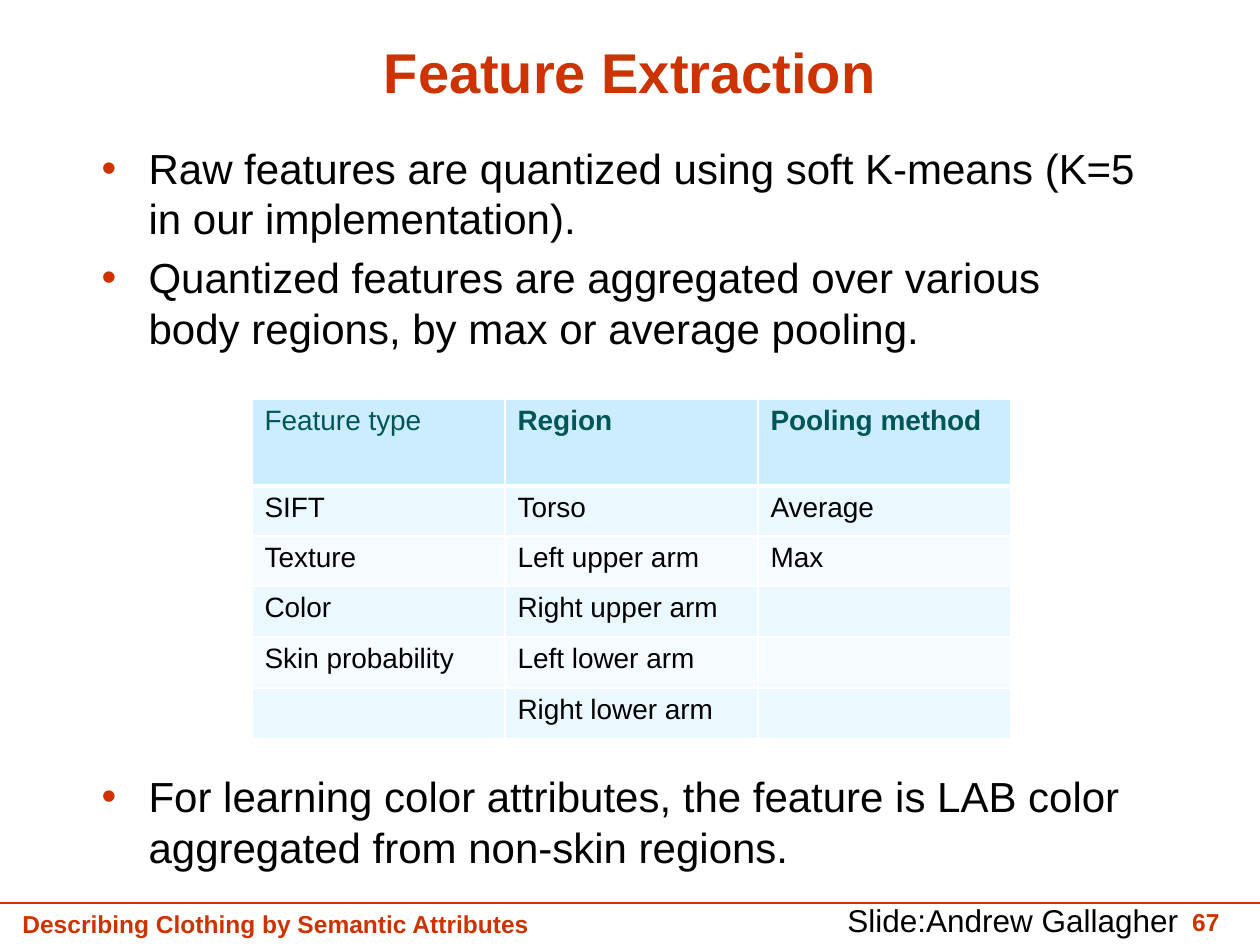
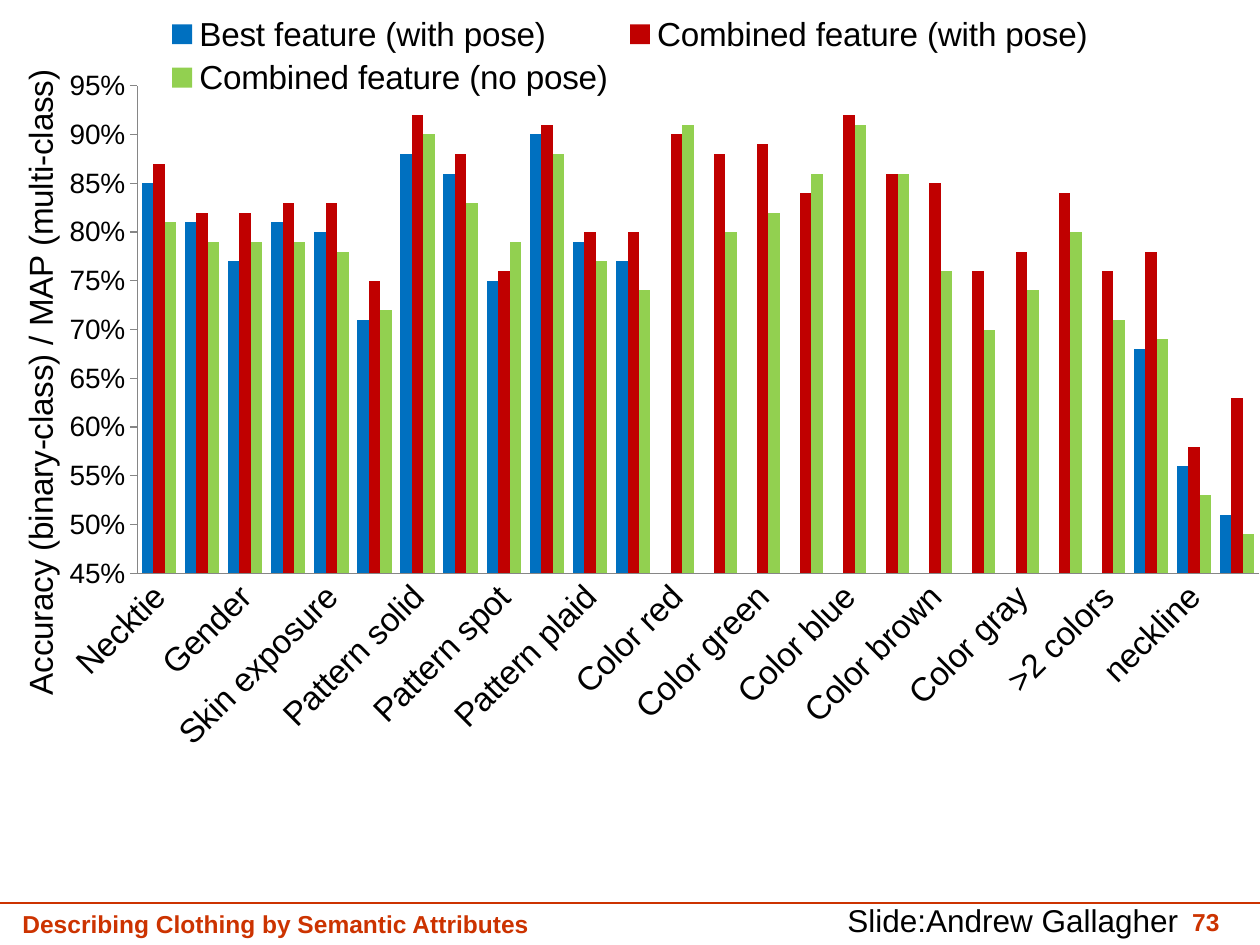
from lxml.etree import SubElement
from pptx import Presentation
from pptx.chart.data import CategoryChartData as ChartData
from pptx.dml.color import RGBColor
from pptx.enum.chart import XL_CHART_TYPE as Kind, XL_LEGEND_POSITION as Place, XL_TICK_MARK as Tick
from pptx.enum.shapes import MSO_CONNECTOR as Link
from pptx.enum.text import MSO_ANCHOR as Anchor, MSO_AUTO_SIZE as Fit, PP_ALIGN as Align
from pptx.oxml import parse_xml
from pptx.oxml.ns import nsdecls, qn
from pptx.util import Pt

# Content
FOOT = "Describing Clothing by Semantic Attributes"
CREDIT = "Slide:Andrew Gallagher"
TITLE = "Feature Extraction"
# Each point: text and space before it, in points
POINTS = [
    ("Raw features are quantized using soft K-means (K=5 in our implementation).", 0),
    ("Quantized features are aggregated over various body regions, by max or average pooling.", 5),
    ("For learning color attributes, the feature is LAB color aggregated from non-skin regions.", 239),
]
ROWS = [
    ("Feature type", "Region", "Pooling method"),
    ("SIFT", "Torso", "Average"),
    ("Texture", "Left upper arm", "Max"),
    ("Color", "Right upper arm", ""),
    ("Skin probability", "Left lower arm", ""),
    ("", "Right lower arm", ""),
]
AXIS = "Accuracy (binary-class) / MAP (multi-class)"
CATS = [
    "Necktie", "Collar", "Gender", "Placket presence", "Skin exposure", "Scarf",
    "Pattern solid", "Pattern floral", "Pattern spot", "Pattern graphics",
    "Pattern plaid", "Pattern stripe", "Color red", "Color yellow", "Color green",
    "Color cyan", "Color blue", "Color purple", "Color brown", "Color white",
    "Color gray", "Color black", ">2 colors", "sleevelength", "neckline", "category",
]
# Accuracy in percent; the best single feature has no color results
SERIES = [
    ("Best feature (with pose)", "0070C0",
     [85, 81, 77, 81, 80, 71, 88, 86, 75, 90, 79, 77] + [None] * 11 + [68, 56, 51]),
    ("Combined feature (with pose)", "C00000",
     [87, 82, 82, 83, 83, 75, 92, 88, 76, 91, 80, 80, 90,
      88, 89, 84, 92, 86, 85, 76, 78, 84, 76, 78, 58, 63]),
    ("Combined feature (no pose)", "92D050",
     [81, 79, 79, 79, 78, 72, 90, 83, 79, 88, 77, 74, 91,
      80, 82, 86, 91, 86, 76, 70, 74, 80, 71, 69, 53, 49]),
]

# Shared style
FACE, RED, BLACK, WHITE, GRAY = "Arial", "CC3300", "000000", "FFFFFF", "868686"
TEAL, HEAD, BANDS = "005656", "CCECFF", ("F6FBFF", "ECF8FF")
WIDE, HIGH, RULE = 1260, 945, 903


def px(n):
    return round(n * 914400 / 126)


def tint(code):
    return RGBColor.from_string(code)


def style(font, size, color=BLACK, bold=False):
    font.name, font.size, font.bold = FACE, Pt(size), bold
    font.color.rgb = tint(color)


def write(para, text, size=18, color=BLACK, bold=False, align=Align.LEFT, before=0):
    para.alignment, para.space_before = align, Pt(before)
    run = para.add_run()
    run.text = text
    style(run.font, size, color, bold)


def place(shape, *box):
    shape.left, shape.top, shape.width, shape.height = map(px, box)


def label(slide, text, box, wrap=True, **fmt):
    frame = slide.shapes.add_textbox(*map(px, box)).text_frame
    frame.word_wrap = wrap
    write(frame.paragraphs[0], text, **fmt)


def footer(slide, page):
    mark = dict(size=14, color=RED, bold=True)
    label(slide, page, (1143, 901, 89, 42), align=Align.RIGHT, **mark)
    label(slide, FOOT, (10, 903, 1187, 42), **mark)
    line = slide.shapes.add_connector(Link.STRAIGHT, 0, px(RULE), px(WIDE), px(RULE))
    line.line.color.rgb, line.line.width = tint(RED), Pt(1.5)
    SubElement(line._element.spPr, qn("a:effectLst"))
    label(slide, CREDIT, (835, 895, 359, 50), wrap=False)


def bullet(para):
    props = para._p.get_or_add_pPr()
    props.set("marL", str(px(47)))
    props.set("indent", str(px(-47)))
    color = SubElement(props, qn("a:buClr"))
    SubElement(color, qn("a:srgbClr"), val=RED)
    SubElement(props, qn("a:buFont"), typeface=FACE)
    SubElement(props, qn("a:buChar"), char="•")


def border(cell, low):
    props = cell._tc.get_or_add_tcPr()
    for side, width in zip("LRTB", (1, 1, 1, low)):
        edge = SubElement(props, qn("a:ln" + side), w=str(Pt(width)))
        fill = SubElement(edge, qn("a:solidFill"))
        SubElement(fill, qn("a:srgbClr"), val=WHITE)


def layout(node, spot, **parts):
    """Give a chart part a fixed place, as shares of the chart."""
    old = node.find(qn("c:layout"))
    if old is not None:
        node.remove(old)
    body = "".join(f'<c:{key} val="{val}"/>' for key, val in parts.items())
    node.insert(spot, parse_xml(
        f'<c:layout {nsdecls("c")}><c:manualLayout>{body}</c:manualLayout></c:layout>'))


def features(slide):
    # Title and points
    title, body = slide.shapes.title, slide.placeholders[1]
    place(title, 0, 0, WIDE, 111)
    place(body, 89, 136, 1061, 741)
    for shape, side in ((title, Anchor.BOTTOM), (body, Anchor.TOP)):
        shape.text_frame.auto_size = Fit.NONE
        shape.text_frame.vertical_anchor = side
    write(title.text_frame.paragraphs[0], TITLE, size=32, color=RED, bold=True, align=Align.CENTER)
    frame = body.text_frame
    for i, (text, gap) in enumerate(POINTS):
        para = frame.add_paragraph() if i else frame.paragraphs[0]
        bullet(para)
        write(para, text, size=24, before=gap)

    # Table
    heights = [87] + [50] * (len(ROWS) - 1)
    box = map(px, (252, 399, 759, sum(heights)))
    table = slide.shapes.add_table(len(ROWS), len(ROWS[0]), *box).table
    for r, row in enumerate(ROWS):
        table.rows[r].height = px(heights[r])
        for c, text in enumerate(row):
            cell = table.cell(r, c)
            border(cell, 1 if r else 3)
            cell.fill.solid()
            cell.fill.fore_color.rgb = tint(BANDS[r % 2] if r else HEAD)
            if text:
                write(cell.text_frame.paragraphs[0], text, size=16,
                      color=BLACK if r else TEAL, bold=r == 0 and c > 0)


def results(slide):
    # Chart data
    data = ChartData(number_format="0%")
    data.categories = CATS
    for name, _, vals in SERIES:
        data.add_series(name, [None if v is None else v / 100 for v in vals])
    box = map(px, (0, 0, WIDE, 913))
    chart = slide.shapes.add_chart(Kind.COLUMN_CLUSTERED, *box, data).chart
    chart.has_title = False
    style(chart.font, 19)

    # Bars
    plot = chart.plots[0]
    plot.gap_width, plot.overlap, plot.vary_by_categories = 75, 0, False
    for bars, (_, color, _) in zip(plot.series, SERIES):
        bars.format.fill.solid()
        bars.format.fill.fore_color.rgb = tint(color)
    layout(chart._chartSpace.chart.plotArea, 0, layoutTarget="inner", xMode="edge",
           yMode="edge", x=0.109, y=0.094, w=0.89, h=0.534)

    # Legend and axes
    chart.has_legend = True
    chart.legend.position, chart.legend.include_in_layout = Place.TOP, False
    cat, val = chart.category_axis, chart.value_axis
    for axis, size, tick in ((cat, 19, Tick.NONE), (val, 16, Tick.OUTSIDE)):
        axis.has_major_gridlines = False
        axis.major_tick_mark, axis.minor_tick_mark = tick, Tick.NONE
        axis.format.line.color.rgb = tint(GRAY)
        style(axis.tick_labels.font, size)
    cat._element.txPr.find(qn("a:bodyPr")).set("rot", "-2700000")
    val.minimum_scale, val.maximum_scale, val.major_unit = 0.45, 0.95, 0.05
    val.tick_labels.number_format = "0%"
    val.tick_labels.number_format_is_linked = False
    head = val.axis_title
    write(head.text_frame.paragraphs[0], AXIS, size=19, align=Align.CENTER)
    head.text_frame._txBody.find(qn("a:bodyPr")).set("rot", "-5400000")
    layout(head._element, 1, xMode="edge", yMode="edge", x=0.01, y=0.07)


def main():
    deck = Presentation()
    deck.slide_width, deck.slide_height = px(WIDE), px(HIGH)
    for kind, build, page in ((1, features, "67"), (6, results, "73")):
        slide = deck.slides.add_slide(deck.slide_layouts[kind])
        build(slide)
        footer(slide, page)
    deck.save("out.pptx")


if __name__ == "__main__":
    main()
